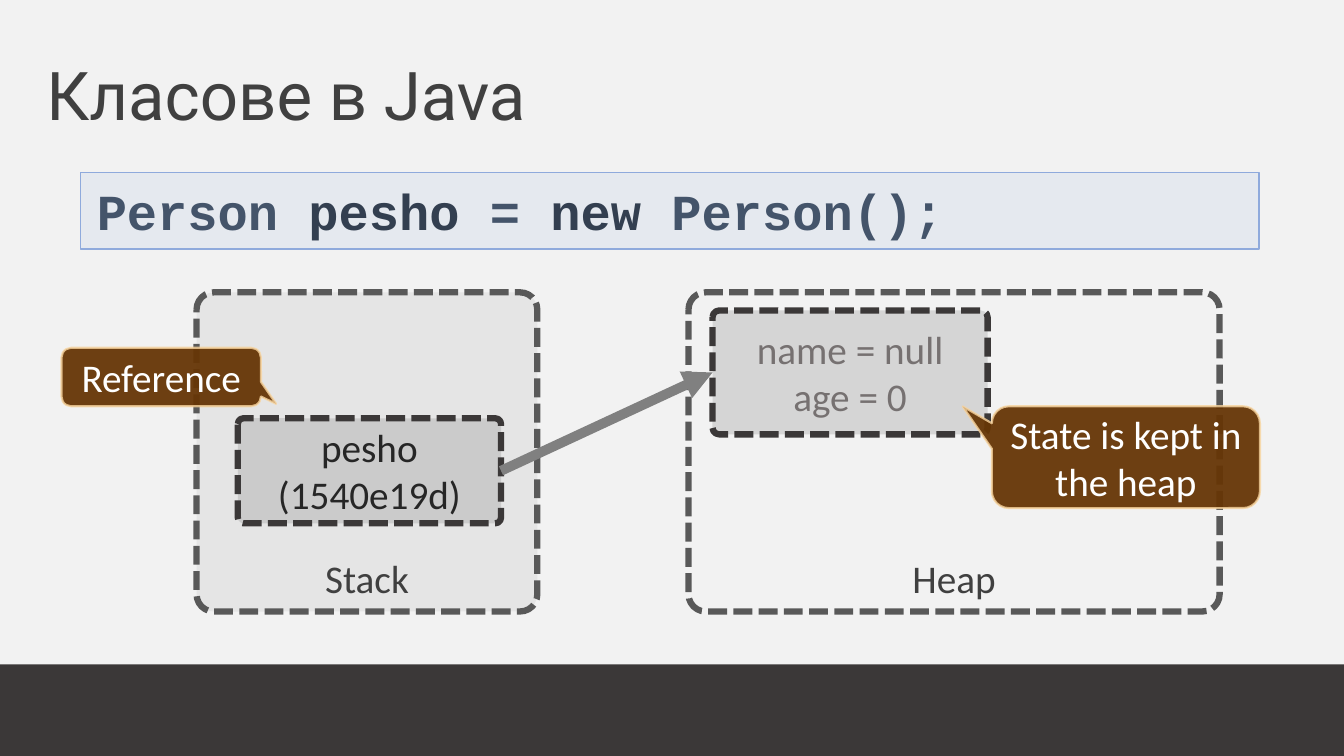
from dataclasses import dataclass

from lxml.etree import SubElement
from pptx import Presentation
from pptx.dml.color import RGBColor as Rgb
from pptx.enum.dml import MSO_LINE_DASH_STYLE as Dash
from pptx.enum.shapes import MSO_CONNECTOR as Connector, MSO_SHAPE as Preset
from pptx.enum.text import MSO_ANCHOR as Anchor, PP_ALIGN as Align
from pptx.oxml.ns import qn
from pptx.util import Pt


@dataclass(frozen=True)
class Theme:
    page: str = "F2F2F2"
    dark: str = "3B3838"
    region_line: str = "595959"
    stack_fill: str = "BFBFBF"
    grey: str = "808080"
    text: str = "404040"
    reference_text: str = "262626"
    state_text: str = "767171"
    code_fill: str = "B4C7E7"
    code_line: str = "8FAADC"
    code_type: str = "44546A"
    code_word: str = "333F50"
    callout_fill: str = "663606"
    callout_line: str = "F8D49E"
    callout_text: str = "FFFFFF"
    title_font: str = "Roboto"
    body_font: str = "Calibri"
    code_font: str = "Courier New"
    title_size: int = 48
    code_size: int = 36
    body_size: int = 28


@dataclass(frozen=True)
class Box:
    left: float
    top: float
    width: float
    height: float

    def inner(self, left, top, width, height):
        return Box(self.left + left, self.top + top, width, height)

    def lengths(self):
        return [Pt(side) for side in (self.left, self.top, self.width, self.height)]


THEME = Theme()


def set_alpha(parent, percent):
    color = next(parent.iter(qn("a:srgbClr")))
    SubElement(color, qn("a:alpha"), val=str(percent * 1000))


def style_font(font, name, size, color):
    font.name, font.size = name, Pt(size)
    font.color.rgb = Rgb.from_string(color)


def add_panel(page, box, preset, fill, alpha=100, line=None, line_width=1, adjust=()):
    panel = page.shapes.add_shape(preset, *box.lengths())
    panel.shadow.inherit = False
    for index, value in enumerate(adjust):
        panel.adjustments[index] = value
    panel.fill.solid()
    panel.fill.fore_color.rgb = Rgb.from_string(fill)
    if alpha < 100:
        set_alpha(panel.element.spPr.find(qn("a:solidFill")), alpha)
    if line:
        panel.line.color.rgb = Rgb.from_string(line)
        panel.line.width = Pt(line_width)
    else:
        panel.line.fill.background()
    return panel


def write_label(panel, text, color, anchor=Anchor.MIDDLE):
    frame = panel.text_frame
    frame.word_wrap = True
    frame.vertical_anchor = anchor
    frame.text = text
    for para in frame.paragraphs:
        para.alignment = Align.CENTER
        style_font(para.font, THEME.body_font, THEME.body_size, color)


def add_dashed(page, box, fill, line, text, color, anchor=Anchor.MIDDLE):
    panel = add_panel(page, box, Preset.ROUNDED_RECTANGLE, fill, 25, line, 4.5, [0.054])
    panel.line.dash_style = Dash.SQUARE_DOT
    write_label(panel, text, color, anchor)
    return panel


def add_callout(page, box, text, tip):
    callout = add_panel(page, box, Preset.ROUNDED_RECTANGULAR_CALLOUT, THEME.callout_fill,
                        95, THEME.callout_line, 1.5, [*tip, 0.167])
    set_alpha(callout.element.spPr.find(qn("a:ln")), 80)
    write_label(callout, text, THEME.callout_text)


def add_title(page, box):
    frame = page.shapes.add_textbox(*box.lengths()).text_frame
    frame.word_wrap = True
    frame.vertical_anchor = Anchor.BOTTOM
    para = frame.paragraphs[0]
    para.text = "Класове в Java"
    para.line_spacing = 0.9
    style_font(para.font, THEME.title_font, THEME.title_size, THEME.text)


def add_code(page, box):
    panel = add_panel(page, box, Preset.RECTANGLE, THEME.code_fill, 20, THEME.code_line)
    frame = panel.text_frame
    frame.word_wrap = True
    frame.vertical_anchor = Anchor.TOP
    frame.margin_left = frame.margin_right = Pt(11.5)
    frame.margin_top = frame.margin_bottom = Pt(5.75)
    para = frame.paragraphs[0]
    para.alignment = Align.LEFT
    style_font(para.font, THEME.code_font, THEME.code_size, THEME.code_type)
    para.font.bold = True
    for index, word in enumerate(["Person ", "pesho ", "= ", "new ", "Person();"]):
        span = para.add_run()
        span.text = word
        color = THEME.code_word if index % 2 else THEME.code_type
        span.font.color.rgb = Rgb.from_string(color)


def add_stack(page, box):
    add_dashed(page, box, THEME.stack_fill, THEME.region_line, "Stack", THEME.text,
               Anchor.BOTTOM)
    add_callout(page, box.inner(-96.5, 39.6, 142.5, 41.8), "Reference", (0.576, 0.458))
    return add_dashed(page, box.inner(29.5, 90, 188, 75), THEME.grey, THEME.dark,
                      "pesho\n(1540e19d)", THEME.reference_text)


def add_heap(page, box):
    add_dashed(page, box, THEME.page, THEME.region_line, "Heap", THEME.text, Anchor.BOTTOM)
    return add_dashed(page, box.inner(17.2, 13, 196.5, 88.5), THEME.grey, THEME.dark,
                      "name = null\vage = 0", THEME.state_text)


def add_arrow(page, source, target):
    arrow = page.shapes.add_connector(Connector.STRAIGHT, 0, 0, 0, 0)
    right_side, left_side = 3, 1
    arrow.begin_connect(source, right_side)
    arrow.end_connect(target, left_side)
    arrow.line.color.rgb = Rgb.from_string(THEME.grey)
    arrow.line.width = Pt(7)
    SubElement(arrow.line._get_or_add_ln(), qn("a:tailEnd"), type="triangle")
    SubElement(arrow.element.spPr, qn("a:effectLst"))


def add_memory_slide(deck, box):
    page = deck.slides.add_slide(deck.slide_layouts[6])
    page.background.fill.solid()
    page.background.fill.fore_color.rgb = Rgb.from_string(THEME.page)

    # Title, footer band and code line
    add_title(page, box.inner(26, 20, 720, 80))
    add_panel(page, box.inner(0, 474.5, box.width, 65.5), Preset.RECTANGLE, THEME.dark)
    add_code(page, box.inner(57.6, 123.2, 841.7, 54.8))

    # Memory regions, with the reference pointing at the object
    stack = box.inner(140.4, 208.8, 243.4, 228)
    heap = box.inner(491.8, 208.8, 379.4, 228)
    reference = add_stack(page, stack)
    person = add_heap(page, heap)
    add_arrow(page, reference, person)

    # Callout above the arrow
    add_callout(page, heap.inner(216.7, 81.4, 191.5, 72.7), "State is kept in the heap",
                (-0.609, -0.499))


deck = Presentation()
deck.slide_width, deck.slide_height = Pt(960), Pt(540)
add_memory_slide(deck, Box(0, 0, 960, 540))
deck.save("out.pptx")
